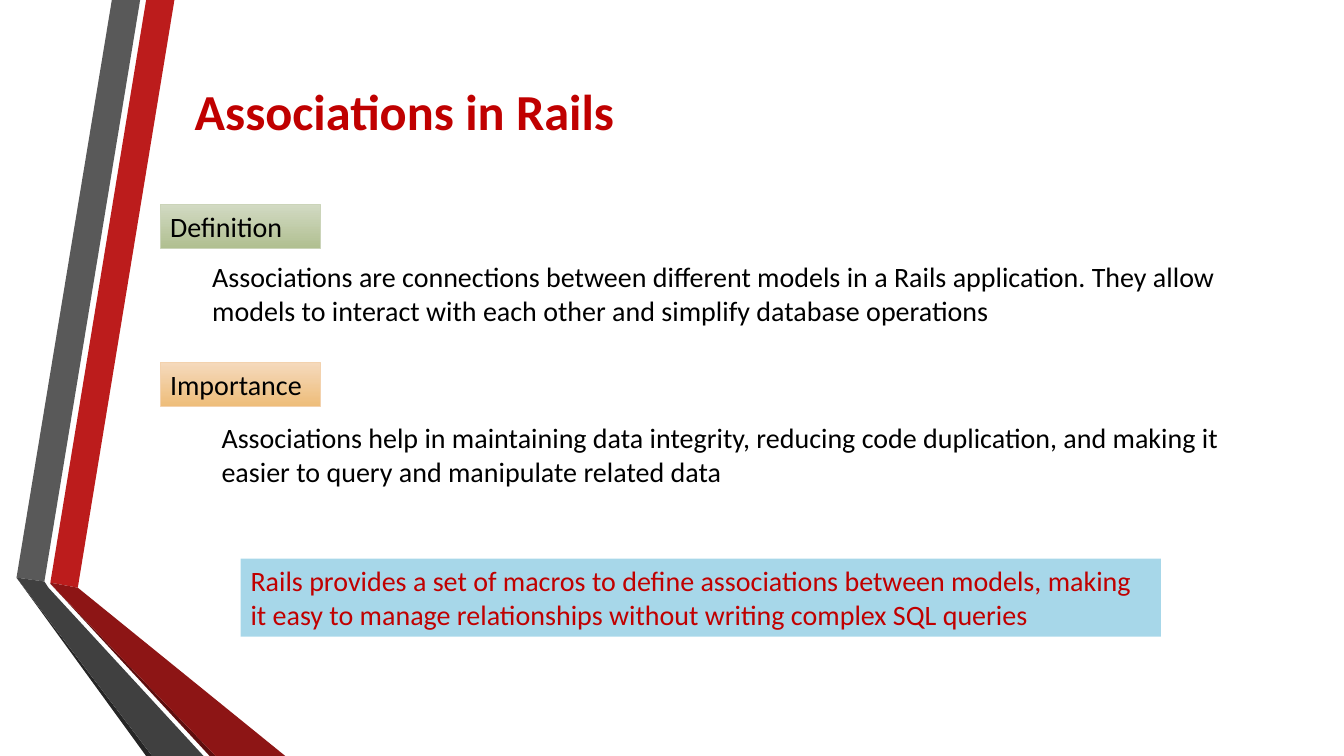
"""Build the "Associations in Rails" slide with its folded ribbon decoration."""
from dataclasses import dataclass

from lxml.etree import SubElement
from pptx import Presentation
from pptx.dml.color import RGBColor
from pptx.enum.shapes import MSO_SHAPE as Preset
from pptx.enum.text import MSO_ANCHOR as Anchor, MSO_AUTO_SIZE as AutoSize, PP_ALIGN as Align
from pptx.oxml.ns import qn
from pptx.shapes.autoshape import Shape
from pptx.slide import Slide
from pptx.util import Pt

FONT = "Calibri"
BLACK, RED = "000000", "C00000"
LABEL_LEFT, LABEL_WIDTH, LABEL_HEIGHT = 114.4, 114.5, 31.5
TWO_LINES = 55.7


@dataclass(frozen=True)
class Ribbon:
    color: str
    points: tuple[tuple[float, float], ...]


@dataclass(frozen=True)
class Label:
    text: str
    top: float
    light: str
    dark: str
    outline: str


@dataclass(frozen=True)
class Body:
    text: str
    left: float
    top: float
    width: float


RIBBONS = (
    Ribbon("BC1C1C", ((36, 416.2), (55.6, 419.8), (124.6, 0), (104.4, 0))),
    Ribbon("595959", ((100.1, 0), (79.9, 0), (11.8, 412.6), (31.7, 415.4))),
    Ribbon("262626", ((11.8, 412.6), (104.4, 540), (108.7, 540))),
    Ribbon("5E0E0E", ((36, 416.9), (149.8, 540), (154.1, 540))),
    Ribbon("8D1515", ((36, 416.2), (36, 416.9), (154.1, 540), (203.8, 540), (55.6, 419.8))),
    Ribbon("404040", ((145.4, 540), (34.6, 419.8), (31.7, 415.4), (11.8, 412.6), (108.7, 540))),
)

LABELS = (
    Label("Definition", 146, "D2DAC3", "B0BF90", "CBD4B9"),
    Label("Importance", 258.7, "F5DABD", "EEBD7A", "F3D2AE"),
)

BODIES = (
    Body("Associations are connections between different models in a Rails application. "
         "They allow models to interact with each other and simplify database operations",
         144.5, 181.9, 787.7),
    Body("Associations help in maintaining data integrity, reducing code duplication, "
         "and making it easier to query and manipulate related data",
         151.2, 296.9, 753.1),
)

SUMMARY = Body("Rails provides a set of macros to define associations between models, "
               "making it easy to manage relationships without writing complex SQL queries",
               171.9, 399, 657.4)


def rgb(color: str) -> RGBColor:
    return RGBColor.from_string(color)


def write(shape: Shape, text: str, color: str, size: float = 20, bold: bool = False,
          align: Align = Align.LEFT, anchor: Anchor = Anchor.TOP) -> None:
    frame = shape.text_frame
    frame.text = text
    frame.word_wrap = True
    frame.auto_size = AutoSize.NONE if bold else AutoSize.SHAPE_TO_FIT_TEXT
    frame.vertical_anchor = anchor
    paragraph = frame.paragraphs[0]
    paragraph.alignment = align
    font = paragraph.runs[0].font
    font.name, font.size, font.bold = FONT, Pt(size), bold
    font.color.rgb = rgb(color)


def add_ribbon(slide: Slide, ribbon: Ribbon) -> None:
    start, *rest = [(Pt(x), Pt(y)) for x, y in ribbon.points]
    builder = slide.shapes.build_freeform(*start, scale=1.0)
    builder.add_line_segments(rest, close=True)
    shape = builder.convert_to_shape()
    shape.shadow.inherit = False
    shape.fill.solid()
    shape.fill.fore_color.rgb = rgb(ribbon.color)
    shape.line.fill.background()


def add_rectangle(slide: Slide, left: float, top: float, width: float, height: float) -> Shape:
    shape = slide.shapes.add_shape(Preset.RECTANGLE, Pt(left), Pt(top), Pt(width), Pt(height))
    shape.shadow.inherit = False
    return shape


def add_label(slide: Slide, label: Label) -> None:
    shape = add_rectangle(slide, LABEL_LEFT, label.top, LABEL_WIDTH, LABEL_HEIGHT)
    shape.fill.gradient()
    shape.fill.gradient_angle = 270
    for stop, color in zip(shape.fill.gradient_stops, (label.light, label.dark)):
        stop.color.rgb = rgb(color)
    shape.line.color.rgb = rgb(label.outline)
    shape.line.width = Pt(0.75)
    write(shape, label.text, BLACK)


def add_body(slide: Slide, body: Body) -> None:
    shape = slide.shapes.add_textbox(Pt(body.left), Pt(body.top), Pt(body.width), Pt(TWO_LINES))
    write(shape, body.text, BLACK)


def add_summary(slide: Slide, summary: Body) -> None:
    shape = add_rectangle(slide, summary.left, summary.top, summary.width, TWO_LINES)
    shape.fill.solid()
    shape.fill.fore_color.rgb = rgb("50B1D4")
    color = shape.element.spPr.find(qn("a:solidFill")).find(qn("a:srgbClr"))
    SubElement(color, qn("a:alpha"), val="50000")
    shape.line.fill.background()
    write(shape, summary.text, RED)


def main() -> None:
    presentation = Presentation()
    presentation.slide_width, presentation.slide_height = Pt(960), Pt(540)
    slide = presentation.slides.add_slide(presentation.slide_layouts[6])
    for ribbon in RIBBONS:
        add_ribbon(slide, ribbon)
    title = slide.shapes.add_textbox(Pt(123.8), Pt(56.9), Pt(330.5), Pt(43.9))
    write(title, "Associations in Rails", RED, 36, True, Align.CENTER, Anchor.MIDDLE)
    for label in LABELS:
        add_label(slide, label)
    for body in BODIES:
        add_body(slide, body)
    add_summary(slide, SUMMARY)
    presentation.save("out.pptx")


if __name__ == "__main__":
    main()
